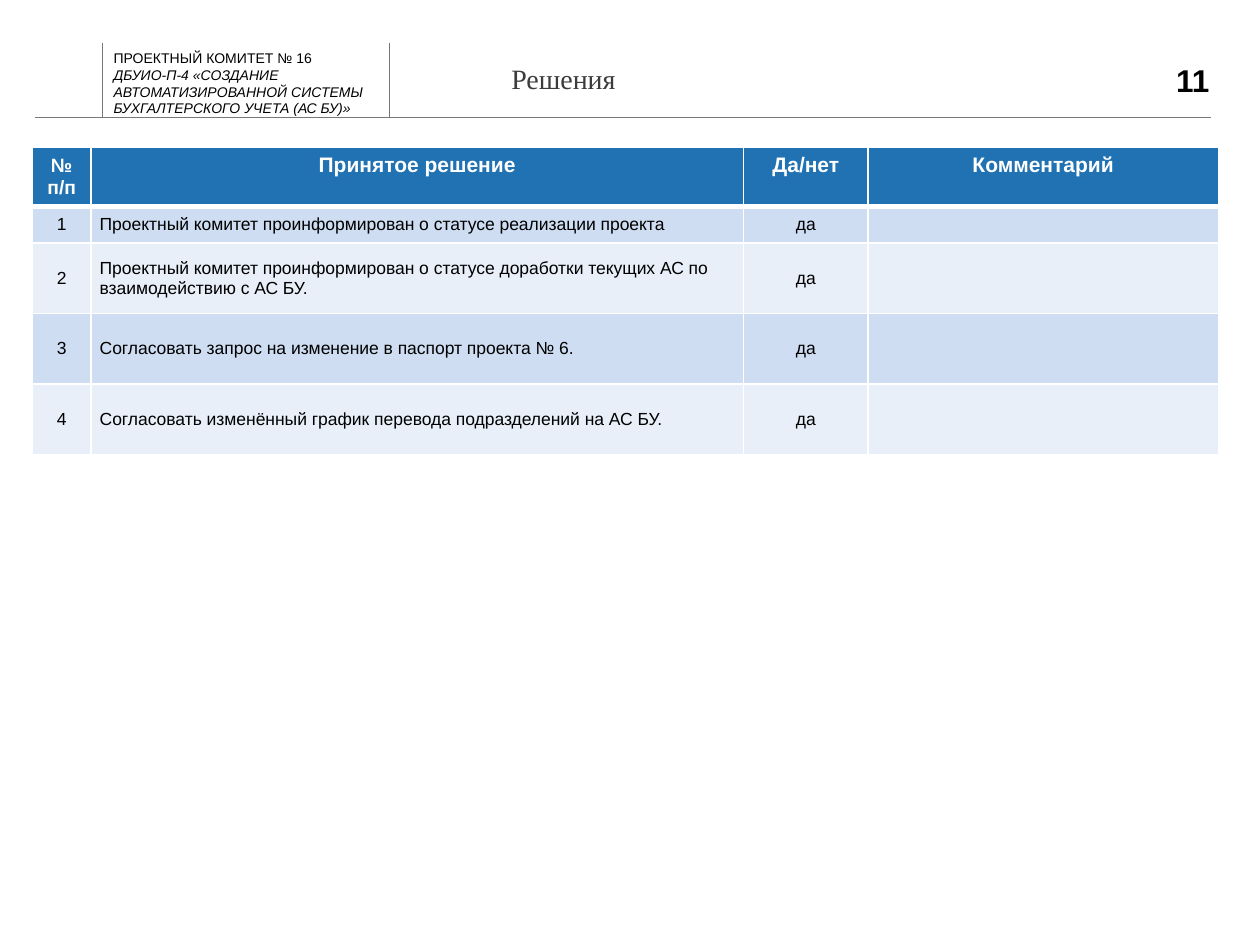
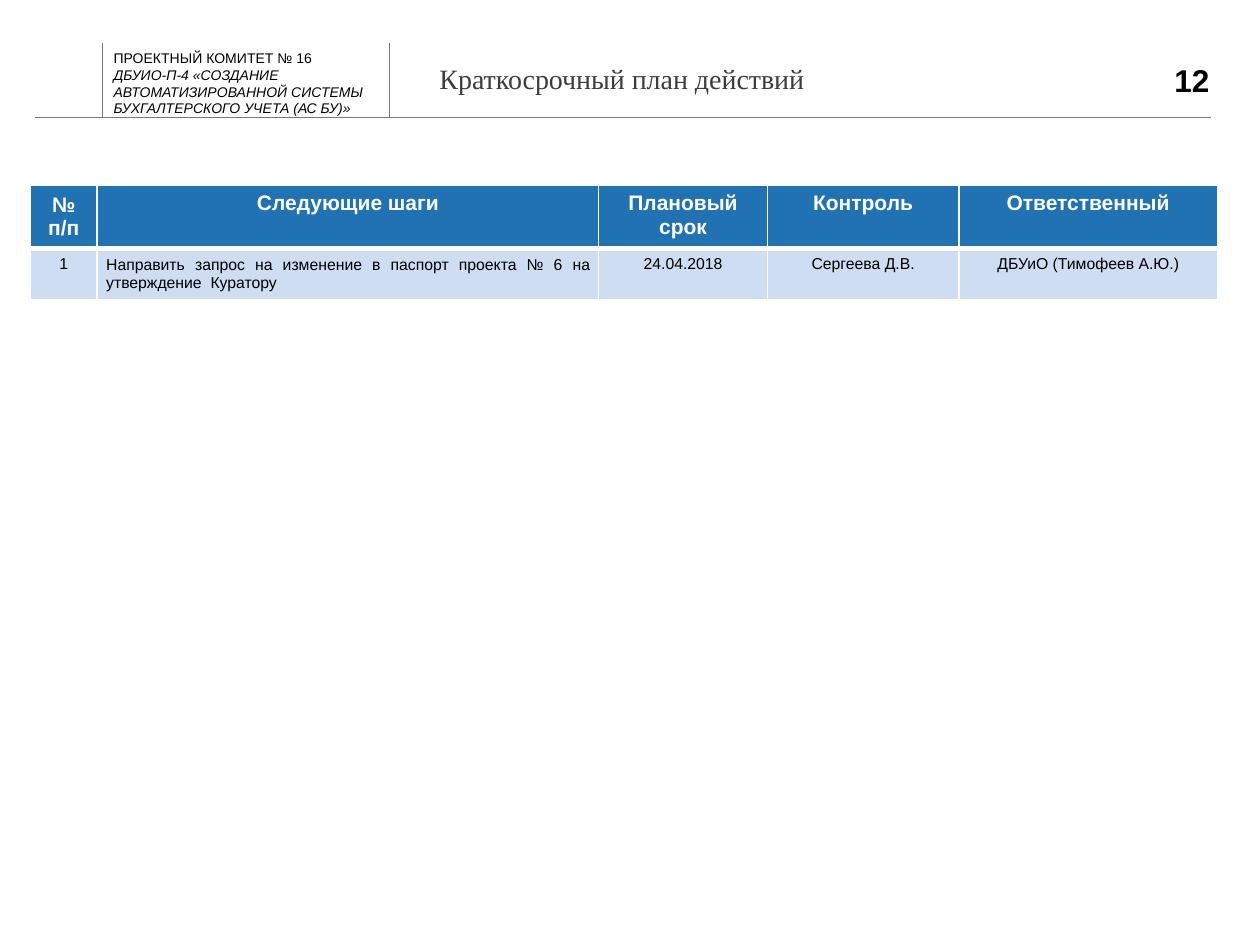
import dataclasses
import typing

import lxml.etree
import pptx
import pptx.dml.color
import pptx.enum.shapes
import pptx.enum.text
import pptx.oxml.ns
import pptx.util

Cm = pptx.util.Cm
Pt = pptx.util.Pt
Align = pptx.enum.text.PP_ALIGN
Anchor = pptx.enum.text.MSO_ANCHOR

HUES = {
    "rule": "77777A",
    "text": "000000",
    "title": "3C3C3D",
    "head": "2172B2",
    "odd": "CEDDF1",
    "even": "E8EFF8",
    "white": "FFFFFF",
}
SANS = "Arial"
SERIF = "Times New Roman"
PROJECT = [
    "ПРОЕКТНЫЙ КОМИТЕТ № 16",
    "ДБУИО-П-4 «СОЗДАНИЕ АВТОМАТИЗИРОВАННОЙ СИСТЕМЫ БУХГАЛТЕРСКОГО УЧЕТА (АС БУ)»",
]


@dataclasses.dataclass(frozen=True)
class Rule:
    x1: float
    y1: float
    x2: float
    y2: float


@dataclasses.dataclass(frozen=True)
class Box:
    left: float
    top: float
    width: float
    height: float


@dataclasses.dataclass(frozen=True)
class Style:
    size: float
    hue: str = "text"
    face: str = SANS
    bold: bool = False
    align: typing.Any = Align.LEFT
    format: dict = dataclasses.field(default_factory=dict)


@dataclasses.dataclass(frozen=True)
class Grid:
    left: float
    top: float
    widths: list[float]
    heights: list[float]
    rows: list[list[str]]
    index: float
    body: float
    anchor: typing.Any
    align: typing.Any


@dataclasses.dataclass(frozen=True)
class Page:
    number: int
    title: str
    box: Box
    grid: Grid


RULES = [
    Rule(24.41, 2.36, 0.71, 2.36),
    Rule(2.06, 2.36, 2.06, 0.86),
    Rule(7.85, 2.36, 7.85, 0.86),
]

PAGES = [
    Page(11, "Решения", Box(10.31, 1.02, 12.45, 1.19), Grid(
        0.66, 2.97, [1.17, 13.16, 2.51, 7.06], [1.14, 0.74] + [1.42] * 3,
        [
            ["№\nп/п", "Принятое решение", "Да/нет", "Комментарий"],
            ["1", "Проектный комитет проинформирован о статусе реализации проекта", "да", ""],
            ["2", "Проектный комитет проинформирован о статусе доработки текущих АС по взаимодействию с АС БУ.", "да", ""],
            ["3", "Согласовать запрос на изменение в паспорт проекта № 6.", "да", ""],
            ["4", "Согласовать изменённый график перевода подразделений на АС БУ.", "да", ""],
        ], 11, 10, Anchor.MIDDLE, Align.LEFT)),
    Page(12, "Краткосрочный план действий", Box(8.86, 1.02, 13.82, 1.19), Grid(
        0.61, 3.73, [1.35, 10.11, 3.4, 3.86, 5.21], [1.24, 1.04],
        [
            ["№\nп/п", "Следующие шаги", "Плановый срок", "Контроль", "Ответственный"],
            ["1", "Направить запрос на изменение в паспорт проекта № 6 на утверждение  Куратору",
             "24.04.2018", "Сергеева Д.В.", "ДБУиО (Тимофеев А.Ю.)"],
        ], 12, 9, Anchor.TOP, Align.JUSTIFY)),
]


def tone(name: str) -> pptx.dml.color.RGBColor:
    return pptx.dml.color.RGBColor.from_string(HUES[name])


def assign(thing: typing.Any, values: dict) -> None:
    for name, value in values.items():
        setattr(thing, name, value)


def tag(root: typing.Any, name: str, **values: str) -> typing.Any:
    return lxml.etree.SubElement(root, pptx.oxml.ns.qn(name), values)


def write(frame: typing.Any, lines: list[str], style: Style) -> None:
    for spot, line in enumerate(lines):
        para = frame.add_paragraph() if spot else frame.paragraphs[0]
        assign(para, {"alignment": style.align, **style.format})
        if not line:
            tag(para._p, "a:endParaRPr", sz=str(int(style.size * 100)))
            continue
        run = para.add_run()
        run.text = line
        assign(run.font, {"size": Pt(style.size), "name": style.face, "bold": style.bold})
        run.font.color.rgb = tone(style.hue)


def add_text(slide: typing.Any, box: Box, lines: list[str], style: Style) -> typing.Any:
    sides = [Cm(side) for side in dataclasses.astuple(box)]
    frame = slide.shapes.add_textbox(*sides).text_frame
    assign(frame, {
        "word_wrap": True, "vertical_anchor": Anchor.MIDDLE,
        "margin_left": 0, "margin_top": 0, "margin_right": 0, "margin_bottom": 0,
    })
    write(frame, lines, style)
    return frame


def add_rule(slide: typing.Any, rule: Rule) -> None:
    ends = [Cm(end) for end in dataclasses.astuple(rule)]
    line = slide.shapes.add_connector(pptx.enum.shapes.MSO_CONNECTOR.STRAIGHT, *ends)
    line.line.color.rgb = tone("rule")
    line.line.width = Pt(0.25)
    tag(line._element.spPr, "a:effectLst")


def edge(cell: typing.Any, row: int) -> None:
    props = cell._tc.get_or_add_tcPr()
    widths = {"L": 1, "R": 1, "T": 3 if row == 1 else 1, "B": 1 if row else 3}
    for side, width in widths.items():
        line = tag(props, f"a:ln{side}", w=str(Pt(width)))
        tag(tag(line, "a:solidFill"), "a:srgbClr", val=HUES["white"])


def add_cell(cell: typing.Any, text: str, row: int, col: int, grid: Grid) -> None:
    edge(cell, row)
    cell.fill.solid()
    cell.fill.fore_color.rgb = tone("head" if not row else "odd" if row % 2 else "even")
    step = row > 0 and col == 1
    side, end = (0.18, 0) if step else (0.23, 0.13)
    middle = step or (not row and not col)
    assign(cell, {
        "margin_left": Cm(side), "margin_right": Cm(side),
        "margin_top": Cm(end), "margin_bottom": Cm(end),
        "vertical_anchor": Anchor.MIDDLE if middle else grid.anchor if row else Anchor.TOP,
    })
    if not row:
        style = Style(12 if col else grid.index, "white", bold=True, align=Align.CENTER)
    elif step:
        style = Style(grid.body, align=grid.align, format={"space_after": Pt(6)})
    else:
        style = Style(grid.body, align=Align.CENTER)
    write(cell.text_frame, text.split("\n"), style)


def add_grid(slide: typing.Any, grid: Grid) -> None:
    table = slide.shapes.add_table(
        len(grid.rows), len(grid.widths), Cm(grid.left), Cm(grid.top),
        Cm(sum(grid.widths)), Cm(sum(grid.heights))).table
    assign(table, {"first_row": False, "horz_banding": False})
    for col, width in zip(table.columns, grid.widths):
        col.width = Cm(width)
    for row, height in zip(table.rows, grid.heights):
        row.height = Cm(height)
    for row, texts in enumerate(grid.rows):
        for col, text in enumerate(texts):
            add_cell(table.cell(row, col), text, row, col, grid)


def add_page(deck: typing.Any, page: Page) -> None:
    slide = deck.slides.add_slide(deck.slide_layouts[6])
    for rule in RULES:
        add_rule(slide, rule)
    frame = add_text(slide, Box(2.29, 0.99, 5.56, 1.37), PROJECT, Style(8))
    frame.paragraphs[1].runs[0].font.italic = True
    add_text(slide, Box(23.39, 0.97, 0.99, 1.3), [str(page.number)],
             Style(18, bold=True, align=Align.RIGHT))
    add_text(slide, page.box, [page.title],
             Style(16, "title", SERIF, format={"line_spacing": 0.9}))
    add_grid(slide, page.grid)


def main() -> None:
    deck = pptx.Presentation()
    assign(deck, {"slide_width": Cm(25.4), "slide_height": Cm(19.05)})
    for page in PAGES:
        add_page(deck, page)
    deck.save("out.pptx")


if __name__ == "__main__":
    main()
